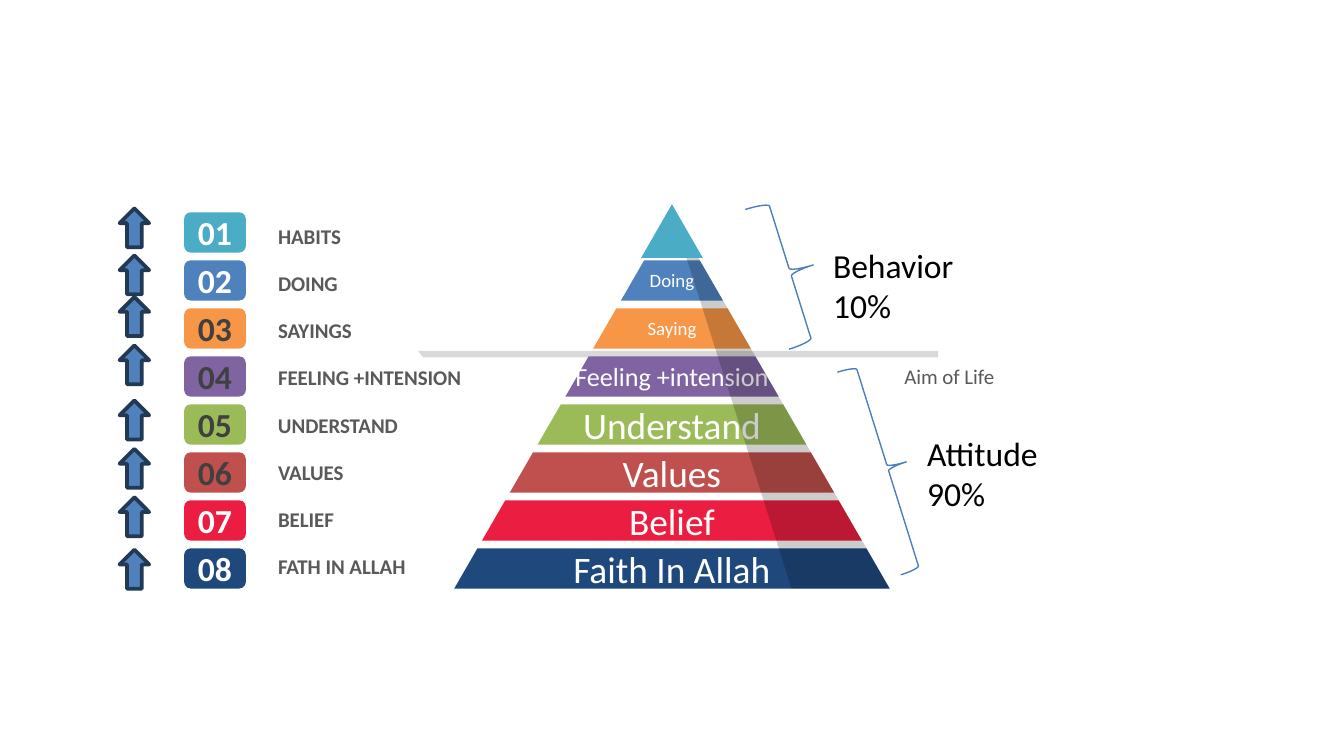
from lxml.etree import SubElement
from pptx import Presentation
from pptx.dml.color import RGBColor
from pptx.enum.shapes import MSO_SHAPE as Shape
from pptx.enum.text import MSO_ANCHOR as Anchor, MSO_AUTO_SIZE as AutoSize, PP_ALIGN as Align
from pptx.oxml.ns import qn
from pptx.util import Inches, Pt

WHITE, BLACK = RGBColor(255, 255, 255), RGBColor(0, 0, 0)
DARK, GRAY, PALE = RGBColor(64, 64, 64), RGBColor(89, 89, 89), RGBColor(217, 217, 217)
TEAL, BLUE = RGBColor(0x4B, 0xAC, 0xC6), RGBColor(0x4F, 0x81, 0xBD)
ORANGE, PURPLE = RGBColor(0xF7, 0x96, 0x46), RGBColor(0x80, 0x64, 0xA2)
GREEN, BRICK = RGBColor(0x9B, 0xBB, 0x59), RGBColor(0xC0, 0x50, 0x4D)
RED, NAVY = RGBColor(0xEB, 0x1E, 0x42), RGBColor(0x1F, 0x49, 0x7D)
ARROW_EDGE, BRACE_BLUE = RGBColor(0x23, 0x39, 0x53), RGBColor(0x4B, 0x7E, 0xBC)

# Content: label, label width, color, number color, band text, band text size, arrow top
LEVELS = [
    ("HABITS", 0.68, TEAL, WHITE, None, None, 1.55),
    ("DOING", 0.65, BLUE, WHITE, "Doing", 10.1, 1.9),
    ("SAYINGS", 0.78, ORANGE, DARK, "Saying", 10.1, 2.21),
    ("FEELING +INTENSION", 1.58, PURPLE, DARK, "Feeling +intension", 14, 2.57),
    ("UNDERSTAND", 1.13, GREEN, DARK, "Understand", 20, 2.98),
    ("VALUES", 0.71, BRICK, DARK, "Values", 20, 3.34),
    ("BELIEF", 0.62, RED, WHITE, "Belief", 20, 3.7),
    ("FATH IN ALLAH", 1.19, NAVY, WHITE, "Faith In Allah", 20, 4.09),
]
# Group lines, text box, brace box
GROUPS = [
    (("Behavior", "10%"), (6.1, 1.77, 2.17, 0.71), (5.7, 1.48, 0.36, 1.09)),
    (("Attitude", "90%"), (6.8, 3.17, 1.83, 0.71), (6.46, 2.69, 0.29, 1.58)),
]

# Grid
SLIDE_W = Inches(10)
SLIDE_H = SLIDE_W * 9 // 16
LAST = len(LEVELS) - 1
TOP, BOTTOM, ROW_H = 1.58, 4.38, 0.3
STEP = (BOTTOM - ROW_H - TOP) / LAST
LABEL_TOP, LABEL_BOTTOM, LABEL_H = 1.61, 4.36, 0.29
LABEL_STEP = (LABEL_BOTTOM - LABEL_H - LABEL_TOP) / LAST
ARROW_X, NUMBER_X, LABEL_X, CENTER = 0.89, 1.37, 1.97, 5
HALF_BASE = 1.62
SLOPE = HALF_BASE / (BOTTOM - TOP)
BRACE_TILT = 342.6

prs = Presentation()
prs.slide_width, prs.slide_height = SLIDE_W, SLIDE_H
slide = prs.slides.add_slide(prs.slide_layouts[6])


def paint(shape, fill=None, edge=None, width=0):
    shape.shadow.inherit = False
    if fill is None:
        shape.fill.background()
    else:
        shape.fill.solid()
        shape.fill.fore_color.rgb = fill
    if edge is None:
        shape.line.fill.background()
    else:
        shape.line.color.rgb = edge
        shape.line.width = Pt(width)
    return shape


def preset(kind, box, **colors):
    return paint(slide.shapes.add_shape(kind, *map(Inches, box)), **colors)


def polygon(points, fill):
    corners = [(Inches(x), Inches(y)) for x, y in points]
    builder = slide.shapes.build_freeform(*corners[0], scale=1.0)
    builder.add_line_segments(corners[1:], close=True)
    return paint(builder.convert_to_shape(), fill)


def write(shape, lines, size, color, bold=False, align=Align.LEFT, **frame_format):
    frame = shape.text_frame
    for key, value in frame_format.items():
        setattr(frame, key, value)
    frame.text = "\n".join(lines)
    for paragraph in frame.paragraphs:
        paragraph.alignment = align
        font = paragraph.runs[0].font
        for key, value in dict(name="Calibri", size=Pt(size), bold=bold).items():
            setattr(font, key, value)
        font.color.rgb = color


def text_box(box, lines, size, color, **text_format):
    write(slide.shapes.add_textbox(*map(Inches, box)), lines, size, color,
          auto_size=AutoSize.SHAPE_TO_FIT_TEXT, **text_format)


SNUG = dict(align=Align.CENTER, vertical_anchor=Anchor.MIDDLE, word_wrap=False,
            margin_left=Inches(0.06), margin_right=Inches(0.06),
            margin_top=Inches(0.03), margin_bottom=Inches(0.03))
ONE_LINE = dict(vertical_anchor=Anchor.MIDDLE, word_wrap=False)

# Divider between behavior and attitude
polygon([(3.11, 2.61), (6.98, 2.61), (6.98, 2.66), (3.15, 2.66)], PALE)
text_box((6.63, 2.65, 0.89, LABEL_H), ["Aim of Life"], 11.2, GRAY, **ONE_LINE)

# Levels: arrow, number, label and pyramid band
for i, (label, label_w, color, number_color, band_text, size, arrow_top) in enumerate(LEVELS):
    top = TOP + i * STEP
    arrow = preset(Shape.DOWN_ARROW, (ARROW_X, arrow_top, 0.22, 0.29),
                   fill=BLUE, edge=ARROW_EDGE, width=2)
    arrow.rotation = 180
    number = preset(Shape.ROUNDED_RECTANGLE, (NUMBER_X, top, 0.46, ROW_H), fill=color)
    write(number, [f"{i + 1:02}"], 18, number_color, bold=True, **SNUG)
    text_box((LABEL_X, LABEL_TOP + i * LABEL_STEP, label_w, LABEL_H), [label],
             11.2, GRAY, bold=True, **ONE_LINE)
    if band_text:
        upper, lower = SLOPE * (top - TOP), SLOPE * (top + ROW_H - TOP)
        band = polygon([(CENTER - upper, top), (CENTER + upper, top),
                        (CENTER + lower, top + ROW_H), (CENTER - lower, top + ROW_H)], color)
        write(band, [band_text], size, WHITE, **SNUG)

# Translucent shade on the right face, then the peak above it
shade = polygon([(CENTER, TOP), (CENTER + HALF_BASE, BOTTOM), (5.89, BOTTOM)], BLACK)
shade_color = shade.element.spPr.find(qn("a:solidFill"))[0]
SubElement(shade_color, qn("a:alpha"), val="20000")
polygon([(CENTER, 1.52), (CENTER + 0.23, 1.92), (CENTER - 0.23, 1.92)], TEAL)

# Braces with their shares
for lines, text_place, brace_place in GROUPS:
    brace = preset(Shape.RIGHT_BRACE, brace_place, edge=BRACE_BLUE, width=0.75)
    brace.rotation = BRACE_TILT
    text_box(text_place, lines, 18, BLACK, word_wrap=True)

prs.save("out.pptx")
